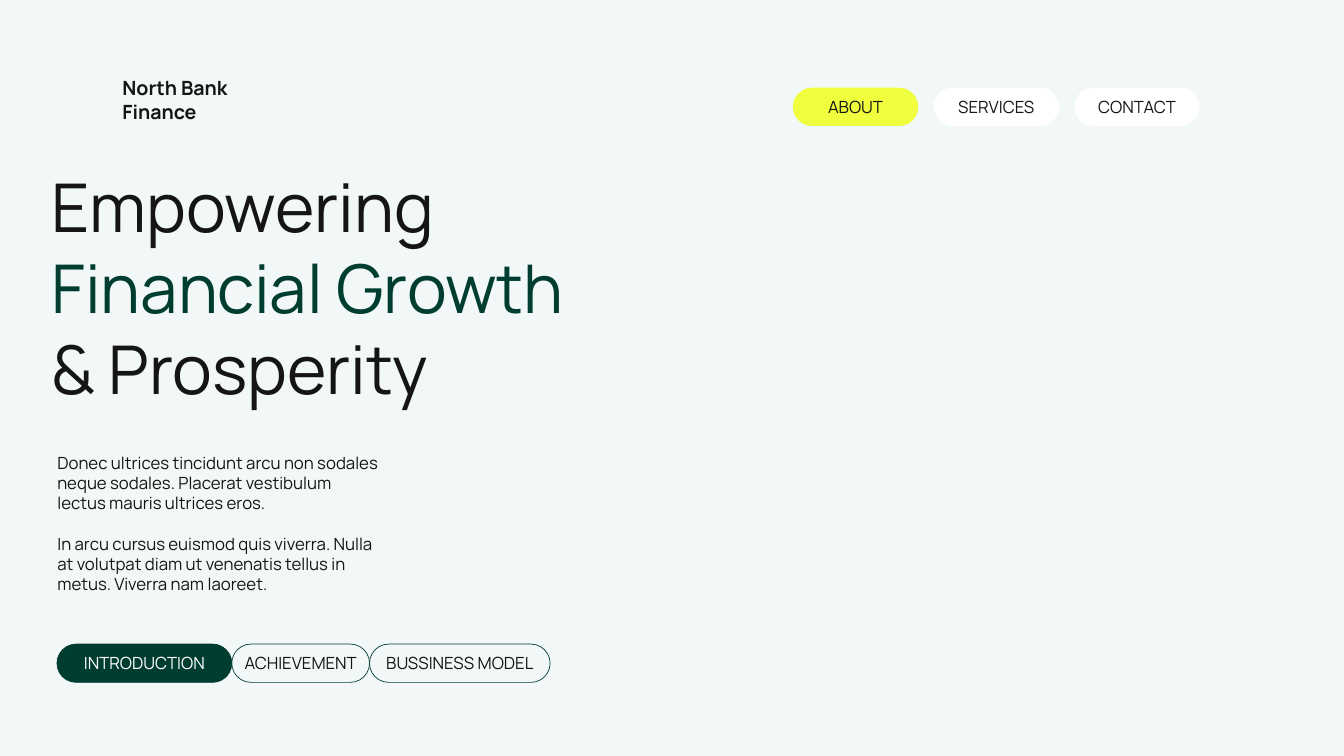
from pptx import Presentation
from pptx.dml.color import RGBColor
from pptx.enum.shapes import MSO_SHAPE
from pptx.enum.text import MSO_ANCHOR, PP_ALIGN
from pptx.util import Cm, Pt

FONT = "Manrope"
INK = "151515"
GREEN = "003D31"
LIME = "F0FF3D"
WHITE = "FFFFFF"
BACKGROUND = "F2F7F7"
PILL_HEIGHT = 1.93


def color(hex_string):
    return RGBColor.from_string(hex_string)


def write_text(text_frame, paragraphs, size=24, bold=None, align=None,
               anchor=MSO_ANCHOR.TOP, gap=0):
    """Write paragraphs, each a list of (text, colour) runs, gap points apart."""
    text_frame.word_wrap = True
    text_frame.vertical_anchor = anchor
    for index, runs in enumerate(paragraphs):
        paragraph = text_frame.paragraphs[0] if index == 0 else text_frame.add_paragraph()
        paragraph.alignment = align
        if index and gap:
            paragraph.space_before = Pt(gap)
        for text, run_color in runs:
            run = paragraph.add_run()
            run.text = text
            run.font.name = FONT
            run.font.size = Pt(size)
            run.font.bold = bold
            run.font.color.rgb = color(run_color)


def add_text(slide, box, paragraphs, **text_format):
    text_box = slide.shapes.add_textbox(*(Cm(length) for length in box))
    write_text(text_box.text_frame, paragraphs, **text_format)


def add_pill(slide, left, top, width, label, fill=None, line=None, text_color=INK):
    shape = slide.shapes.add_shape(MSO_SHAPE.ROUNDED_RECTANGLE, Cm(left), Cm(top),
                                   Cm(width), Cm(PILL_HEIGHT))
    shape.adjustments[0] = 0.5
    shape.shadow.inherit = False
    if fill:
        shape.fill.solid()
        shape.fill.fore_color.rgb = color(fill)
    else:
        shape.fill.background()
    if line:
        shape.line.color.rgb = color(line)
        shape.line.width = Pt(1)
    else:
        shape.line.fill.background()
    write_text(shape.text_frame, [[(label, text_color)]],
               align=PP_ALIGN.CENTER, anchor=MSO_ANCHOR.MIDDLE)


def add_navigation(slide, left, top):
    width, pitch = 6.32, 7.09
    items = [("ABOUT", LIME), ("SERVICES", WHITE), ("CONTACT", WHITE)]
    for index, (label, fill) in enumerate(items):
        add_pill(slide, left + index * pitch, top, width, label, fill=fill)


def add_tabs(slide, left, top):
    tabs = [("INTRODUCTION", 8.81, GREEN, WHITE),
            ("ACHIEVEMENT", 6.94, None, INK),
            ("BUSSINESS MODEL", 9.1, None, INK)]
    for label, width, fill, text_color in tabs:
        add_pill(slide, left, top, width, label, fill, GREEN, text_color)
        left += width


def add_introduction(slide, left, top):
    add_text(slide, (left, top, 30.53, 12.57),
             [[("Empowering ", INK), ("Financial Growth", GREEN)],
              [("& Prosperity", INK)]], size=96)
    add_text(slide, (left + 0.3, top + 14.45, 16.89, 7.44),
             [[("Donec ultrices tincidunt arcu non sodales neque sodales. "
                "Placerat vestibulum lectus mauris ultrices eros.", INK)],
              [("In arcu cursus euismod quis viverra. Nulla at volutpat diam "
                "ut venenatis tellus in metus. Viverra nam laoreet.", INK)]], gap=29)


def main():
    presentation = Presentation()
    presentation.slide_width = Cm(67.72)
    presentation.slide_height = Cm(38.1)
    slide = presentation.slides.add_slide(presentation.slide_layouts[6])
    slide.background.fill.solid()
    slide.background.fill.fore_color.rgb = color(BACKGROUND)

    add_introduction(slide, left=2.34, top=8.23)
    add_text(slide, (5.92, 3.71, 7.8, 2.64),
             [[("North Bank", INK)], [("Finance", INK)]], size=28, bold=True)
    add_navigation(slide, left=39.95, top=4.42)
    add_tabs(slide, left=2.87, top=32.46)
    presentation.save("out.pptx")


if __name__ == "__main__":
    main()
